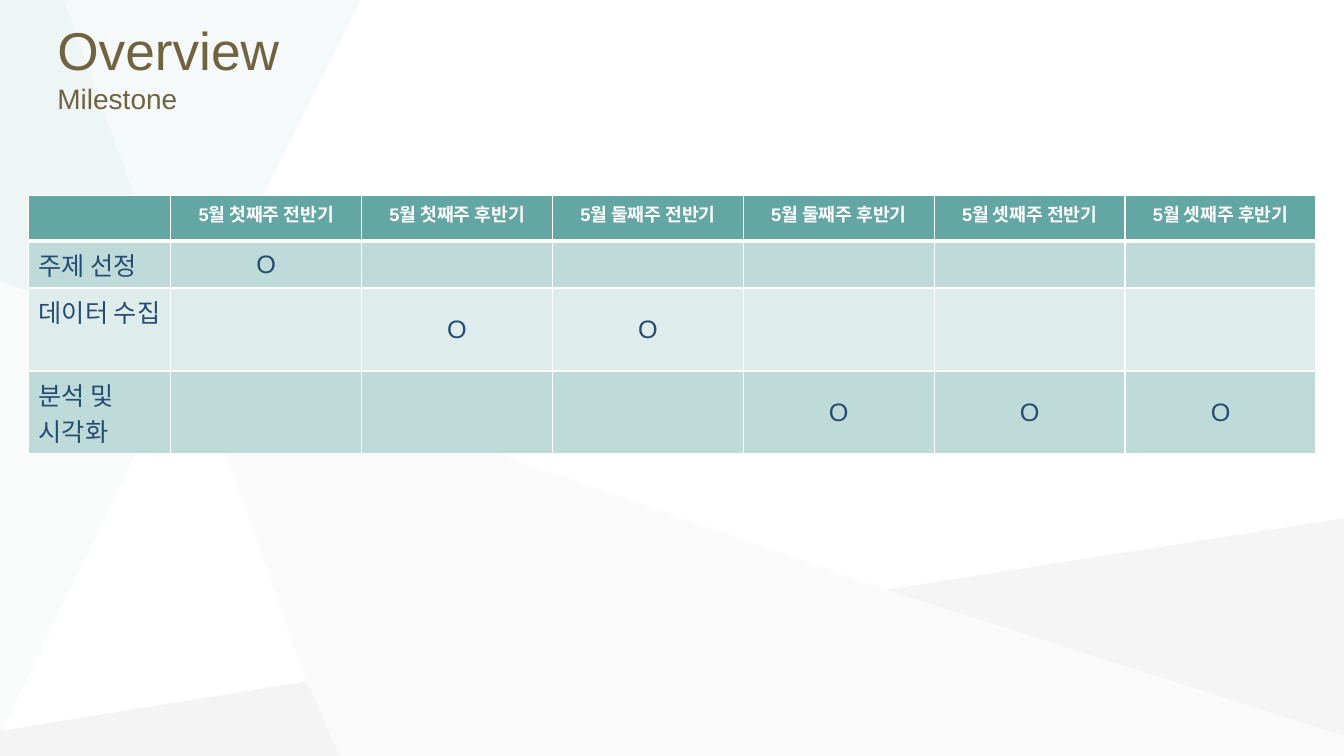
from pptx import Presentation
from pptx.dml.color import RGBColor
from pptx.enum.text import MSO_ANCHOR, MSO_AUTO_SIZE, PP_ALIGN
from pptx.oxml import parse_xml
from pptx.oxml.ns import nsdecls, qn
from pptx.util import Cm, Pt
from lxml.etree import SubElement

WIDE, HIGH = 33.86, 19.05
COLORS = {
    "title": "716340", "head": "63A6A4", "odd": "BEDAD9", "even": "DFECEC",
    "text": "264C72", "white": "FFFFFF", "warm": "F3F2F2", "gray": "B6B8BA",
    "silver": "C6C8CA", "mist": "E0EDED", "mint": "C1DBDB",
}

# Corners shared by the background facets, in cm
HUB, LOW, EAST = (4.74, 8.71), (7.72, 17.17), (22.33, 14.86)
WEST, FOOT, TAIL = (0, 7.09), (8.56, HIGH), (WIDE, 18.54)
FACETS = [
    ("warm", 26, [HUB, LOW, EAST]),
    ("gray", 15, [LOW, (0, 18.42), (0, HIGH), FOOT]),
    ("mist", 31, [(9.09, 0), (1.6, 0), HUB]),
    ("silver", 17, [(WIDE, 13.06), EAST, TAIL]),
    ("gray", 6, [EAST, LOW, FOOT, (WIDE, HIGH), TAIL]),
    ("mint", 27, [(1.6, 0), (0, 0), WEST, HUB]),
    ("mint", 8, [WEST, (0, 18.54), HUB]),
]

WEEKS = [f"5월 {week}째주 {half}반기" for week in ("첫", "둘", "셋") for half in "전후"]
# Task, row height in cm, columns marked
TASKS = [
    ("주제 선정", 1.19, [1]),
    ("데이터 수집", 2.09, [2, 3]),
    ("분석 및\n시각화", 2.09, [4, 5, 6]),
]


class Deck:
    def __init__(self, font):
        self.font = font
        self.deck = Presentation()
        self.deck.slide_width, self.deck.slide_height = Cm(WIDE), Cm(HIGH)
        self.slide = self.deck.slides.add_slide(self.deck.slide_layouts[5])

    def color(self, name):
        return RGBColor.from_string(COLORS[name])

    def style(self, para, size, color, bold=False, align=PP_ALIGN.LEFT):
        para.alignment = align
        font = para.font
        font.name, font.size, font.bold = self.font, Pt(size), bold
        font.color.rgb = self.color(color)

    def facet(self, color, alpha, points):
        start, *rest = [(Cm(x), Cm(y)) for x, y in points]
        path = self.slide.shapes.build_freeform(*start)
        path.add_line_segments(rest, close=True)
        shape = path.convert_to_shape()
        shape.shadow.inherit = False
        shape.line.fill.background()
        shape.fill.solid()
        shape.fill.fore_color.rgb = self.color(color)
        tint = shape.fill._xPr.find(".//" + qn("a:srgbClr"))
        SubElement(tint, qn("a:alpha"), val=str(alpha * 1000))

    def title(self, box, lines):
        shape = self.slide.shapes.title
        shape.left, shape.top, shape.width, shape.height = map(Cm, box)
        frame = shape.text_frame
        frame.text = "\n".join(text for text, size in lines)
        frame.auto_size = MSO_AUTO_SIZE.NONE
        frame.vertical_anchor = MSO_ANCHOR.MIDDLE
        for para, (text, size) in zip(frame.paragraphs, lines):
            self.style(para, size, "title")
            para.space_before = Pt(0)
        # Bring the title in front of the facets
        self.slide.shapes._spTree.append(shape._element)

    def cell(self, cell, text, fill, size, color, bold=False, align=PP_ALIGN.LEFT,
             anchor=MSO_ANCHOR.TOP, base=1):
        cell.text = text
        cell.vertical_anchor = anchor
        for para in cell.text_frame.paragraphs:
            self.style(para, size, color, bold, align)
        props = cell._tc.get_or_add_tcPr()
        for side, width in (("L", 1), ("R", 1), ("T", 1), ("B", base)):
            props.append(parse_xml(
                f'<a:ln{side} {nsdecls("a")} w="{Pt(width)}"><a:solidFill>'
                f'<a:srgbClr val="{COLORS["white"]}"/></a:solidFill></a:ln{side}>'))
        cell.fill.solid()
        cell.fill.fore_color.rgb = self.color(fill)

    def table(self, left, top, widths, heights):
        frame = self.slide.shapes.add_table(
            len(heights), len(widths), Cm(left), Cm(top),
            Cm(sum(widths)), Cm(sum(heights)))
        table = frame.table
        for col, width in zip(table.columns, widths):
            col.width = Cm(width)
        for row, height in zip(table.rows, heights):
            row.height = Cm(height)
        return table


def main():
    deck = Deck("Arial")

    # Background
    for facet in FACETS:
        deck.facet(*facet)

    # Title
    deck.title((1.19, 0.36, 31.39, 2.62), [("Overview", 38), ("Milestone", 20)])

    # Milestone table
    table = deck.table(0.72, 4.93, [3.58] + [4.81] * len(WEEKS),
                       [1.14] + [height for task, height, marks in TASKS])
    for col, week in enumerate([""] + WEEKS):
        deck.cell(table.cell(0, col), week, "head", 13, "white", True,
                  PP_ALIGN.CENTER, base=3)
    for row, (task, height, marks) in enumerate(TASKS, 1):
        fill = "odd" if row % 2 else "even"
        deck.cell(table.cell(row, 0), task, fill, 18, "text")
        for col in range(1, len(WEEKS) + 1):
            deck.cell(table.cell(row, col), "O" if col in marks else "", fill, 18,
                      "text", align=PP_ALIGN.CENTER, anchor=MSO_ANCHOR.MIDDLE)

    deck.deck.save("out.pptx")


if __name__ == "__main__":
    main()
